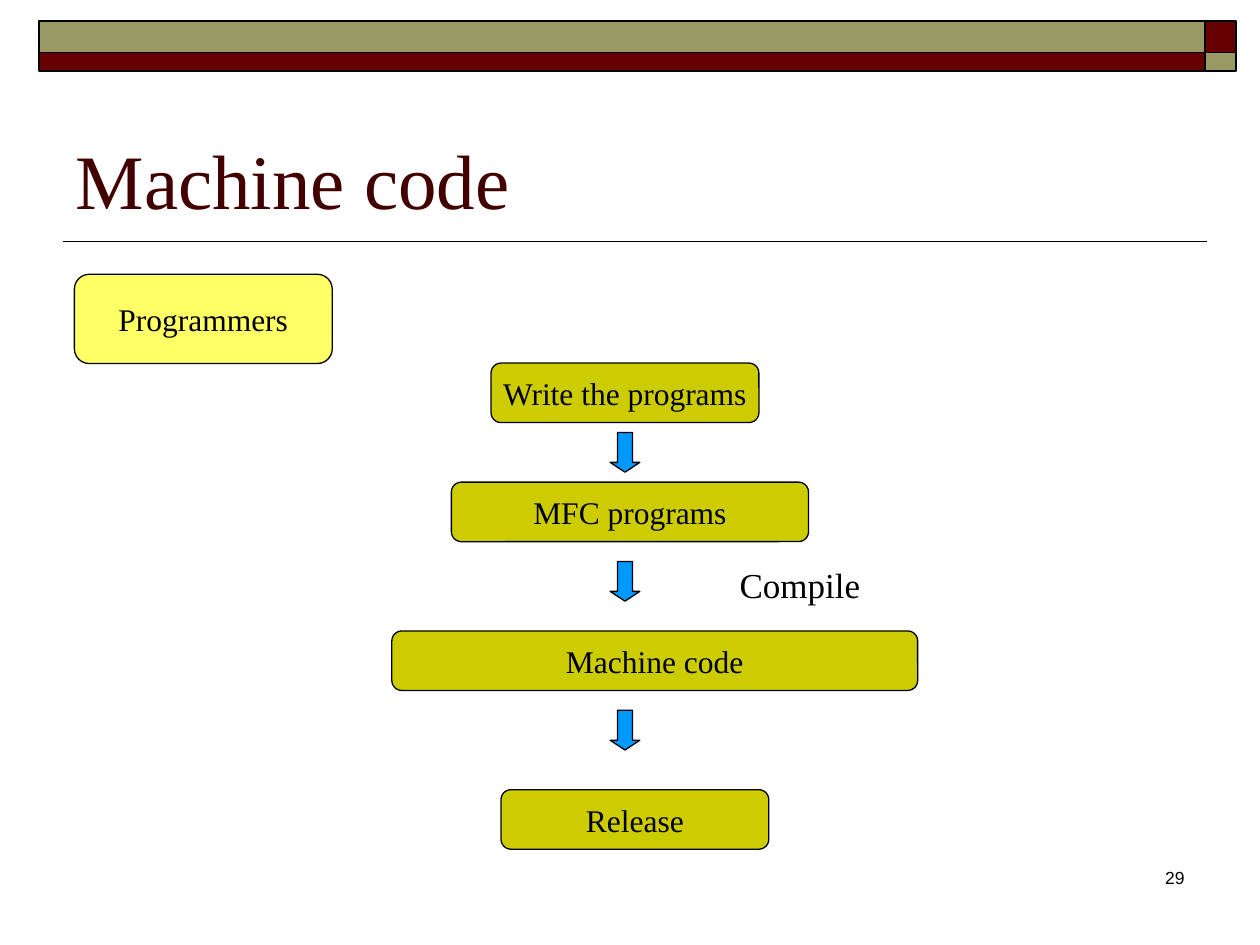
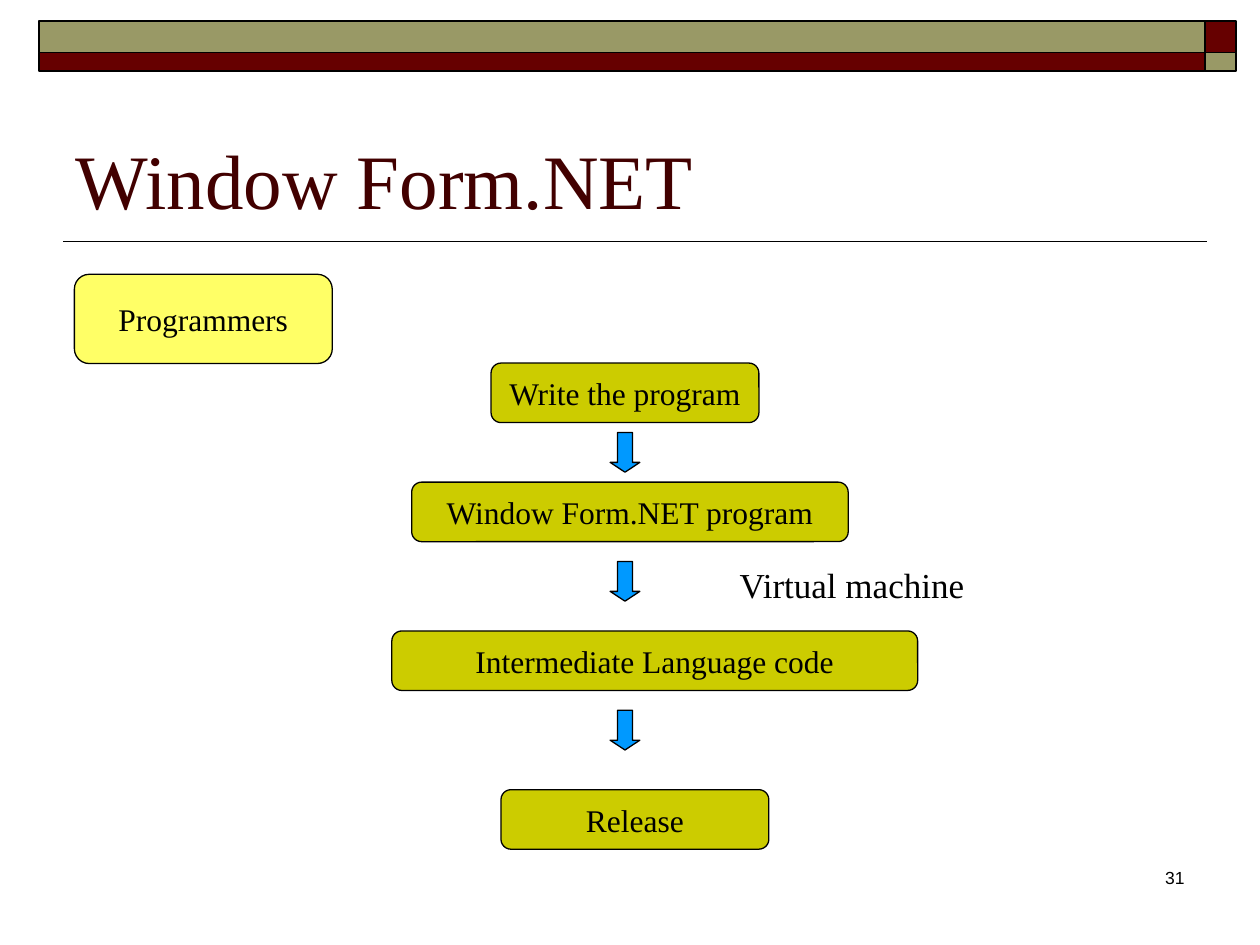
from dataclasses import dataclass

from lxml import etree
from pptx import Presentation
from pptx.dml.color import RGBColor
from pptx.enum import shapes, text
from pptx.oxml import ns
from pptx.util import Cm, Pt


@dataclass(frozen=True)
class Theme:
    ink: str = "000000"
    title: str = "420000"
    maroon: str = "660000"
    khaki: str = "999966"
    actor: str = "FFFF66"
    step: str = "CCCC00"
    arrow: str = "0099FF"
    serif: str = "Times New Roman"
    sans: str = "Arial"
    title_size: float = 44
    label_size: float = 20
    step_size: float = 18
    number_size: float = 10
    frame_line: float = 1
    shape_line: float = 0.75


@dataclass(frozen=True)
class Box:
    left: float
    top: float
    width: float
    height: float

    def inner(self, left, top, width, height):
        return Box(self.left + left, self.top + top, width, height)

    def lengths(self):
        return [Cm(side) for side in (self.left, self.top, self.width, self.height)]


@dataclass(frozen=True)
class Step:
    wording: str
    left: float
    top: float
    width: float
    arrow_gap: float = 0


THEME = Theme()
BANDS = Box(0.79, 0.42, 24.13, 1.02)
TITLE = Box(1.27, 1.48, 22.86, 3.18)
RULE = Box(1.27, 4.87, 23.06, 0)
ACTOR = Box(1.5, 5.53, 5.2, 1.8)
FLOW = Box(7.9, 7.32, 10.6, 9.8)
NUMBER = Box(18.85, 17.35, 5.28, 1.27)
STEP_HEIGHT = 1.2

PAGES = [
    {
        "title": "Machine code",
        "number": "29",
        "label": ("Compile", 2.95),
        "steps": [
            Step("Write the programs", 2, 0, 5.4, 0.2),
            Step("MFC programs", 1.2, 2.4, 7.2, 0.4),
            Step("Machine code", 0, 5.4, 10.6, 0.4),
            Step("Release", 2.2, 8.6, 5.4),
        ],
    },
    {
        "title": "Window Form.NET",
        "number": "31",
        "label": ("Virtual machine", 6.25),
        "steps": [
            Step("Write the program", 2, 0, 5.4, 0.2),
            Step("Window Form.NET program", 0.4, 2.4, 8.8, 0.4),
            Step("Intermediate Language code", 0, 5.4, 10.6, 0.4),
            Step("Release", 2.2, 8.6, 5.4),
        ],
    },
]


def colour(code):
    return RGBColor.from_string(code)


def write(shape, wording, size, align=text.PP_ALIGN.LEFT, anchor=text.MSO_ANCHOR.TOP,
          ink=THEME.ink, face=THEME.serif, wrap=True):
    frame = shape.text_frame
    frame.word_wrap = wrap
    frame.vertical_anchor = anchor
    para = frame.paragraphs[0]
    para.alignment = align
    span = para.add_run()
    span.text = wording
    span.font.name = face
    span.font.size = Pt(size)
    span.font.color.rgb = colour(ink)


def add_outlined(page, kind, box, fill, line_width=THEME.shape_line):
    shape = page.shapes.add_shape(kind, *box.lengths())
    shape.shadow.inherit = False
    shape.fill.solid()
    shape.fill.fore_color.rgb = colour(fill)
    shape.line.color.rgb = colour(THEME.ink)
    shape.line.width = Pt(line_width)
    return shape


def add_bands(page, box):
    """Two rows of a long band and a short end, with the colours swapped."""
    end, upper = 0.63, 0.64
    long = box.width - end
    rows = [(0, upper, THEME.khaki, THEME.maroon),
            (upper, box.height - upper, THEME.maroon, THEME.khaki)]
    for top, height, long_fill, end_fill in rows:
        for left, width, fill in ((0, long, long_fill), (long, end, end_fill)):
            add_outlined(page, shapes.MSO_SHAPE.RECTANGLE,
                         box.inner(left, top, width, height), fill, THEME.frame_line)


def add_rule(page, box):
    left, top, width, height = box.lengths()
    rule = page.shapes.add_connector(shapes.MSO_CONNECTOR.STRAIGHT,
                                     left + width, top, left, top + height)
    rule.line.color.rgb = colour(THEME.ink)
    rule.line.width = Pt(THEME.frame_line)
    etree.SubElement(rule._element.spPr, ns.qn("a:effectLst"))


def place_title(page, box, wording):
    title = page.shapes.title
    title.left, title.top, title.width, title.height = box.lengths()
    write(title, wording, THEME.title_size, anchor=text.MSO_ANCHOR.BOTTOM, ink=THEME.title)


def add_number(page, box, number):
    shape = page.shapes.add_textbox(*box.lengths())
    write(shape, number, THEME.number_size, align=text.PP_ALIGN.RIGHT, face=THEME.sans)


def add_rounded(page, box, wording, fill):
    shape = add_outlined(page, shapes.MSO_SHAPE.ROUNDED_RECTANGLE, box, fill)
    write(shape, wording, THEME.step_size, text.PP_ALIGN.CENTER,
          text.MSO_ANCHOR.MIDDLE, wrap=False)


def add_flow(page, box, steps, label):
    """Steps from top to bottom, an arrow after each but the last, and a side label."""
    for step in steps:
        add_rounded(page, box.inner(step.left, step.top, step.width, STEP_HEIGHT),
                    step.wording, THEME.step)
    for step in steps[:-1]:
        arrow_box = box.inner(4.4, step.top + STEP_HEIGHT + step.arrow_gap, 0.6, 0.8)
        arrow = add_outlined(page, shapes.MSO_SHAPE.DOWN_ARROW, arrow_box, THEME.arrow)
        arrow.adjustments[0] = 0.5
        arrow.adjustments[1] = 0.33
    wording, width = label
    shape = page.shapes.add_textbox(*box.inner(6.76, 3.91, width, 1.12).lengths())
    write(shape, wording, THEME.label_size)


def add_flow_page(deck, content):
    page = deck.slides.add_slide(deck.slide_layouts.get_by_name("Title Only"))
    add_bands(page, BANDS)
    add_rule(page, RULE)
    add_number(page, NUMBER, content["number"])
    place_title(page, TITLE, content["title"])
    add_rounded(page, ACTOR, "Programmers", THEME.actor)
    add_flow(page, FLOW, content["steps"], content["label"])


def main():
    deck = Presentation()
    deck.slide_width, deck.slide_height = Cm(25.4), Cm(19.05)
    for content in PAGES:
        add_flow_page(deck, content)
    deck.save("out.pptx")


if __name__ == "__main__":
    main()
